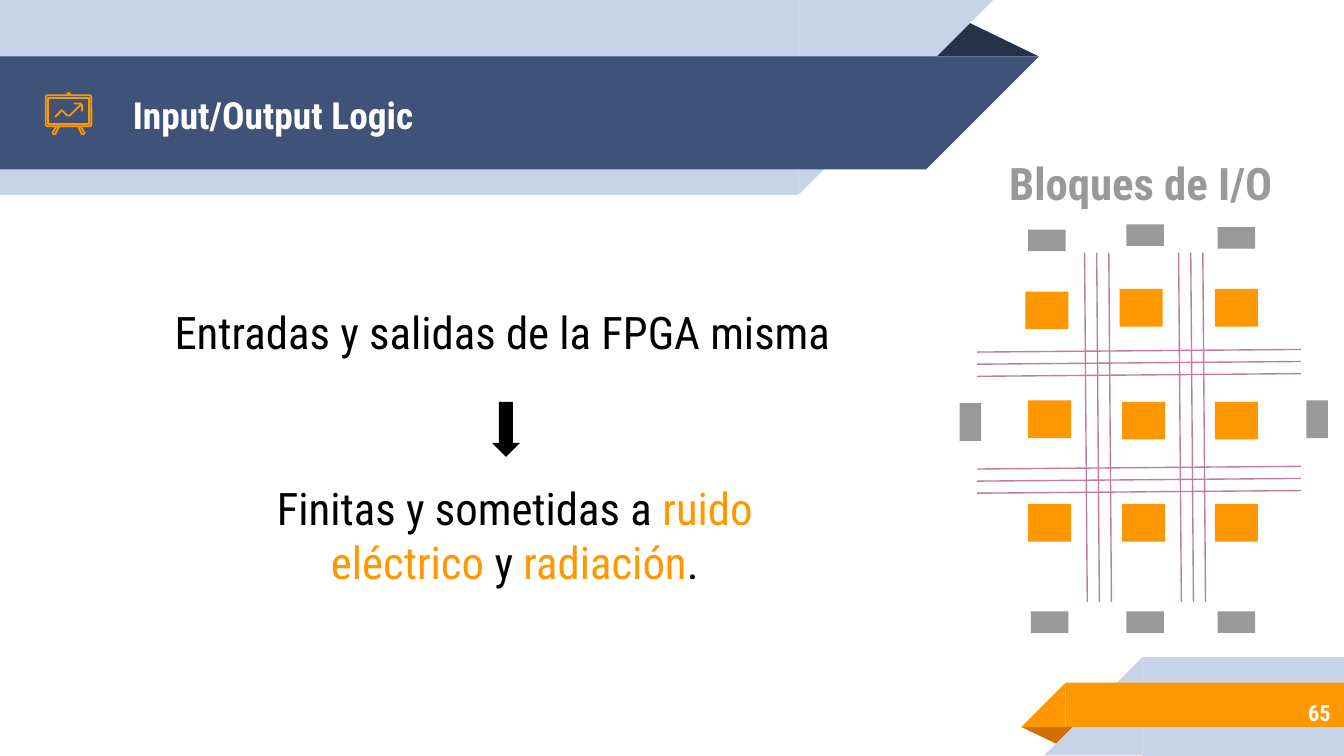
from lxml.etree import SubElement
from pptx import Presentation
from pptx.dml.color import RGBColor
from pptx.enum.shapes import MSO_CONNECTOR, MSO_SHAPE
from pptx.enum.text import MSO_ANCHOR, PP_ALIGN
from pptx.oxml.ns import qn
from pptx.util import Inches, Pt

FONT = "Roboto Condensed"
WHITE, BLACK, GRAY = "FFFFFF", "000000", "999999"
PALE, NAVY, DARK = "C7D3E6", "3F5378", "263248"
GOLD, RUST, PINK = "FF9800", "D26F00", "C27BA0"


def color(code):
    return RGBColor.from_string(code)


class Deck:
    def __init__(self, wide, high):
        self.file = Presentation()
        self.file.slide_width = Inches(wide)
        self.file.slide_height = Inches(high)
        self.slide = self.file.slides.add_slide(self.file.slide_layouts[6])
        self.items = self.slide.shapes

    def shape(self, kind, x, y, w, h, fill, turn=0, adj=None):
        item = self.items.add_shape(kind, Inches(x), Inches(y), Inches(w), Inches(h))
        item.shadow.inherit = False
        item.fill.solid()
        item.fill.fore_color.rgb = color(fill)
        item.line.fill.background()
        item.rotation = turn
        if adj is not None:
            item.adjustments[0] = adj
        return item

    def rect(self, x, y, w, h, fill):
        return self.shape(MSO_SHAPE.RECTANGLE, x, y, w, h, fill)

    def corner(self, x, y, side, fill, turn):
        self.shape(MSO_SHAPE.RIGHT_TRIANGLE, x, y, side, side, fill, turn)

    def fold(self, x, y, w, h, fill, turn=0):
        self.shape(MSO_SHAPE.ISOSCELES_TRIANGLE, x, y, w, h, fill, turn, 0.32)

    def stroke(self, item):
        item.shadow.inherit = False
        item.fill.background()
        item.line.color.rgb = color(GOLD)
        item.line.width = Pt(0.96)

    def trace(self, points, close=False):
        spots = [(Inches(x), Inches(y)) for x, y in points]
        pen = self.items.build_freeform(*spots[0])
        pen.add_line_segments(spots[1:], close=close)
        self.stroke(pen.convert_to_shape())

    def wire(self, x1, y1, x2, y2):
        item = self.items.add_connector(
            MSO_CONNECTOR.STRAIGHT, Inches(x1), Inches(y1), Inches(x2), Inches(y2))
        item.line.color.rgb = color(PINK)
        item.line.width = Pt(0.75)
        SubElement(item._element.spPr, qn("a:effectLst"))

    def text(self, x, y, w, h, parts, size, bold=False, align=PP_ALIGN.LEFT,
             anchor=MSO_ANCHOR.TOP):
        box = self.items.add_textbox(Inches(x), Inches(y), Inches(w), Inches(h))
        frame = box.text_frame
        frame.word_wrap = True
        frame.vertical_anchor = anchor
        frame.margin_left = frame.margin_right = Inches(0.1)
        frame.margin_top = frame.margin_bottom = Inches(0.1)
        line = frame.paragraphs[0]
        line.alignment = align
        for words, tint in parts:
            run = line.add_run()
            run.text = words
            run.font.name = FONT
            run.font.size = Pt(size)
            run.font.bold = bold
            run.font.color.rgb = color(tint)
        return line


# Widescreen page, 16:9
deck = Deck(10, 10 * 9 / 16)

# Top banner
deck.fold(6.88, 0.14, 0.85, 0.28, DARK)
deck.rect(0, 0, 5.94, 1.45, PALE)
deck.corner(5.94, 0, 1.45, PALE, 90)
deck.rect(0, 0.42, 6.89, 0.84, NAVY)
deck.corner(6.89, 0.42, 0.84, NAVY, 90)

# Bottom banner
deck.fold(7.6, 5.41, 0.43, 0.14, RUST, 180)
deck.rect(8.5, 4.89, 1.5, 0.74, PALE)
deck.corner(7.77, 4.89, 0.73, PALE, 270)
deck.rect(7.93, 5.08, 2.07, 0.33, GOLD)
deck.corner(7.6, 5.08, 0.33, GOLD, 270)

# Title and page number
deck.text(0.89, 0.43, 5.75, 0.84, [("Input/Output Logic", WHITE)], 20, True,
          anchor=MSO_ANCHOR.MIDDLE)
deck.text(8.37, 5.13, 1.63, 0.35, [("65", WHITE)], 12, True,
          PP_ALIGN.RIGHT, MSO_ANCHOR.MIDDLE)

# Chart board icon: frame, screen, hook, legs, trend arrow
deck.stroke(deck.shape(MSO_SHAPE.ROUNDED_RECTANGLE, 0.34, 0.71, 0.34, 0.23, GOLD, adj=0.06))
deck.trace([(0.36, 0.73), (0.36, 0.92), (0.66, 0.92), (0.66, 0.73)], True)
deck.trace([(0.5, 0.71), (0.5, 0.7), (0.51, 0.69), (0.52, 0.7), (0.52, 0.71)])
deck.trace([(0.42, 0.94), (0.39, 0.99), (0.4, 1), (0.41, 1), (0.44, 0.94)])
deck.trace([(0.58, 0.94), (0.61, 1), (0.62, 1), (0.63, 0.99), (0.6, 0.94)])
deck.trace([(0.41, 0.87), (0.46, 0.82), (0.5, 0.86), (0.52, 0.86), (0.6, 0.78)])
deck.trace([(0.55, 0.77), (0.6, 0.77), (0.61, 0.78), (0.61, 0.83)])

# Main message
deck.text(1.2, 2.17, 5.25, 0.51, [("Entradas y salidas de la FPGA misma", BLACK)], 24)
deck.shape(MSO_SHAPE.DOWN_ARROW, 3.66, 2.99, 0.21, 0.41, BLACK)
deck.text(1.47, 3.48, 4.72, 0.84, [
    ("Finitas y sometidas a ", BLACK), ("ruido eléctrico ", GOLD),
    ("y ", BLACK), ("radiación", GOLD), (".", BLACK)], 24, align=PP_ALIGN.CENTER)

# Routing wires, in bundles of three
for start in (8.07, 8.77):
    for i in range(3):
        x = start + i * 0.09
        deck.wire(x, 1.88, x + 0.02, 4.48)
for start in (2.62, 3.49):
    for i in range(3):
        y = start + i * 0.09
        deck.wire(7.27, y, 9.68, y - 0.02)

# Logic blocks
for x, y in [(7.63, 2.17), (8.33, 2.15), (9.04, 2.15),
             (7.65, 2.98), (8.35, 2.99), (9.04, 2.99),
             (7.65, 3.75), (8.35, 3.75), (9.04, 3.75)]:
    deck.rect(x, y, 0.32, 0.28, GOLD)

# I/O blocks: sides, then top and bottom rows
for x, y in [(7.14, 3), (9.72, 2.98)]:
    deck.rect(x, y, 0.16, 0.28, GRAY)
for x, y in [(7.65, 1.71), (8.38, 1.67), (9.06, 1.69),
             (7.67, 4.55), (8.38, 4.55), (9.06, 4.55)]:
    deck.rect(x, y, 0.28, 0.16, GRAY)
label = deck.text(7.41, 1, 2.35, 0.67, [("Bloques de I/O", GRAY)], 24, True)
label.line_spacing = 1.15
label.space_after = Pt(10)

deck.file.save("out.pptx")
